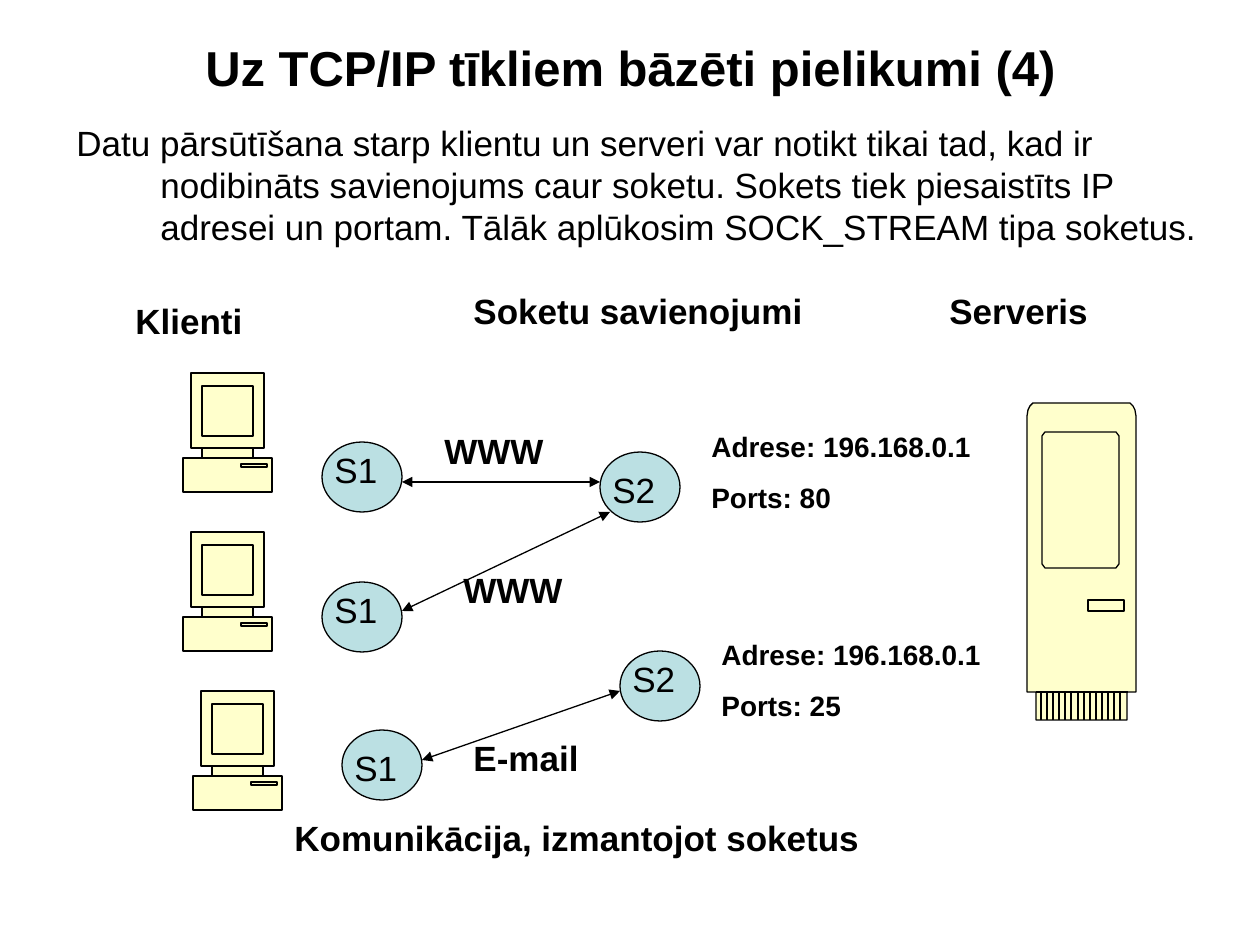
from dataclasses import dataclass

from lxml import etree
from pptx import Presentation
from pptx.dml.color import RGBColor
from pptx.enum import shapes, text
from pptx.oxml.ns import qn
from pptx.util import Pt

PX = 914400 / 126
BLACK = RGBColor(0x00, 0x00, 0x00)
CREAM = RGBColor(0xFF, 0xFF, 0xCC)
AQUA = RGBColor(0xBB, 0xE0, 0xE3)
FONT = "Arial"

Points = list[tuple[int, int]]


@dataclass
class Label:
    lines: tuple[str, ...]
    x: int
    y: int
    w: int
    h: int = 55
    size: int = 20
    bold: bool = True


@dataclass
class Socket:
    name: str
    x: int
    y: int
    drop: int = 0  # how far the name sits below the top of the oval


@dataclass
class Link:
    x1: int
    y1: int
    x2: int
    y2: int


TITLE = Label(("Uz TCP/IP tīkliem bāzēti pielikumi (4)",), 25, 27, 1211, 79, 28)
INTRO = Label(
    ("Datu pārsūtīšana starp klientu un serveri var notikt tikai tad, kad ir "
     "nodibināts savienojums caur soketu. Sokets tiek piesaistīts IP adresei un "
     "portam. Tālāk aplūkosim SOCK_STREAM tipa soketus.",),
    64, 115, 1150, 753, 20, False)
INDENT = 84

LABELS = [
    Label(("Klienti",), 123, 293, 228),
    Label(("Soketu savienojumi",), 461, 283, 407),
    Label(("Serveris",), 937, 283, 238),
    Label(("WWW",), 432, 423, 149),
    Label(("WWW",), 451, 562, 149),
    Label(("E-mail",), 461, 730, 218),
    Label(("Adrese: 196.168.0.1", "Ports: 80"), 699, 423, 307, 97, 16),
    Label(("Adrese: 196.168.0.1", "Ports: 25"), 709, 631, 307, 97, 16),
    Label(("Komunikācija, izmantojot soketus",), 282, 810, 804),
]
SOCKETS = [
    Socket("S1", 322, 442),
    Socket("S1", 322, 582),
    Socket("S1", 342, 730, 10),
    Socket("S2", 600, 452, 10),
    Socket("S2", 620, 651),
]
LINKS = [
    Link(402, 482, 600, 482),
    Link(402, 611, 610, 512),
    Link(422, 760, 620, 691),
]
CLIENTS = [(183, 373), (183, 532), (193, 691)]
SERVER = (1027, 403)


def emu(px: float) -> int:
    return round(px * PX)


def box(x1: int, y1: int, x2: int, y2: int) -> Points:
    return [(x1, y1), (x2, y1), (x2, y2), (x1, y2)]


def mirror(half: Points, width: int) -> Points:
    """Complete a left half with its reflection."""
    return half + [(width - x, y) for x, y in reversed(half)]


def client_parts() -> list[Points]:
    case = [(0, 119), (0, 85), (19, 85), (19, 75), (8, 75), (8, 0)]
    return [mirror(case, 89), box(19, 75, 70, 85),
            box(19, 13, 70, 63), box(58, 91, 84, 94)]


def server_parts() -> list[Points]:
    case = [(9, 317), (9, 289), (0, 289), (0, 13), (1, 7), (3, 3), (6, 0)]
    screen = [(18, 165), (15, 161), (15, 33), (18, 29)]
    slats = [[(x, 289), (x, 317)] for x in (round(14 + 6.1 * i) for i in range(14))]
    return [mirror(case, 109), mirror(screen, 107), *slats,
            [(9, 289), (101, 289)], box(61, 197, 97, 208)]


def paint(shape, fill: RGBColor) -> None:
    shape.shadow.inherit = False
    shape.fill.solid()
    shape.fill.fore_color.rgb = fill
    shape.line.color.rgb = BLACK
    shape.line.width = Pt(0.75)


def draw_parts(slide, parts: list[Points], x: int, y: int) -> None:
    """Draw outlines as one shape, each filled on its own."""
    first, *rest = parts
    pen = slide.shapes.build_freeform(*first[0], scale=PX)
    pen.add_line_segments(first[1:], close=True)
    for part in rest:
        pen.move_to(*part[0])
        pen.add_line_segments(part[1:], close=True)
    shape = pen.convert_to_shape(emu(x), emu(y))
    paint(shape, CREAM)

    # Separate paths keep inner outlines from cutting holes
    whole = next(shape.element.iter(qn("a:path")))
    group = whole.getparent()
    for step in list(whole):
        if step.tag == qn("a:moveTo"):
            path = etree.SubElement(group, qn("a:path"), dict(whole.attrib))
        path.append(step)
    group.remove(whole)


def draw_label(slide, label: Label):
    area = slide.shapes.add_textbox(*map(emu, (label.x, label.y, label.w, label.h)))
    frame = area.text_frame
    frame.word_wrap = True
    frame.text = "\n".join(label.lines)
    for i, para in enumerate(frame.paragraphs):
        para.font.name = FONT
        para.font.size = Pt(label.size)
        para.font.bold = label.bold
        para.font.color.rgb = BLACK
        if i:
            para.space_before = Pt(10)
    return frame


def draw_socket(slide, sock: Socket) -> None:
    oval = slide.shapes.add_shape(
        shapes.MSO_SHAPE.OVAL, *map(emu, (sock.x, sock.y, 80, 70)))
    paint(oval, AQUA)
    draw_label(slide, Label((sock.name,), sock.x, sock.y + sock.drop, 80, bold=False))


def draw_link(slide, link: Link) -> None:
    line = slide.shapes.add_connector(
        shapes.MSO_CONNECTOR.STRAIGHT,
        *map(emu, (link.x1, link.y1, link.x2, link.y2)))
    line.line.color.rgb = BLACK
    line.line.width = Pt(0.75)
    stroke = line.line._get_or_add_ln()
    for end in ("a:headEnd", "a:tailEnd"):
        etree.SubElement(stroke, qn(end), type="triangle")
    etree.SubElement(line.element.spPr, qn("a:effectLst"))


def main() -> None:
    deck = Presentation()
    deck.slide_width, deck.slide_height = emu(1260), emu(945)
    slide = deck.slides.add_slide(deck.slide_layouts[6])

    title = draw_label(slide, TITLE)
    title.vertical_anchor = text.MSO_ANCHOR.MIDDLE
    title.paragraphs[0].alignment = text.PP_ALIGN.CENTER
    intro = draw_label(slide, INTRO).paragraphs[0]
    props = intro._p.get_or_add_pPr()
    props.set("marL", str(emu(INDENT)))
    props.set("indent", str(-emu(INDENT)))

    for spot in CLIENTS:
        draw_parts(slide, client_parts(), *spot)
    draw_parts(slide, server_parts(), *SERVER)
    for sock in SOCKETS:
        draw_socket(slide, sock)
    for link in LINKS:
        draw_link(slide, link)
    for label in LABELS:
        draw_label(slide, label)
    deck.save("out.pptx")


if __name__ == "__main__":
    main()
